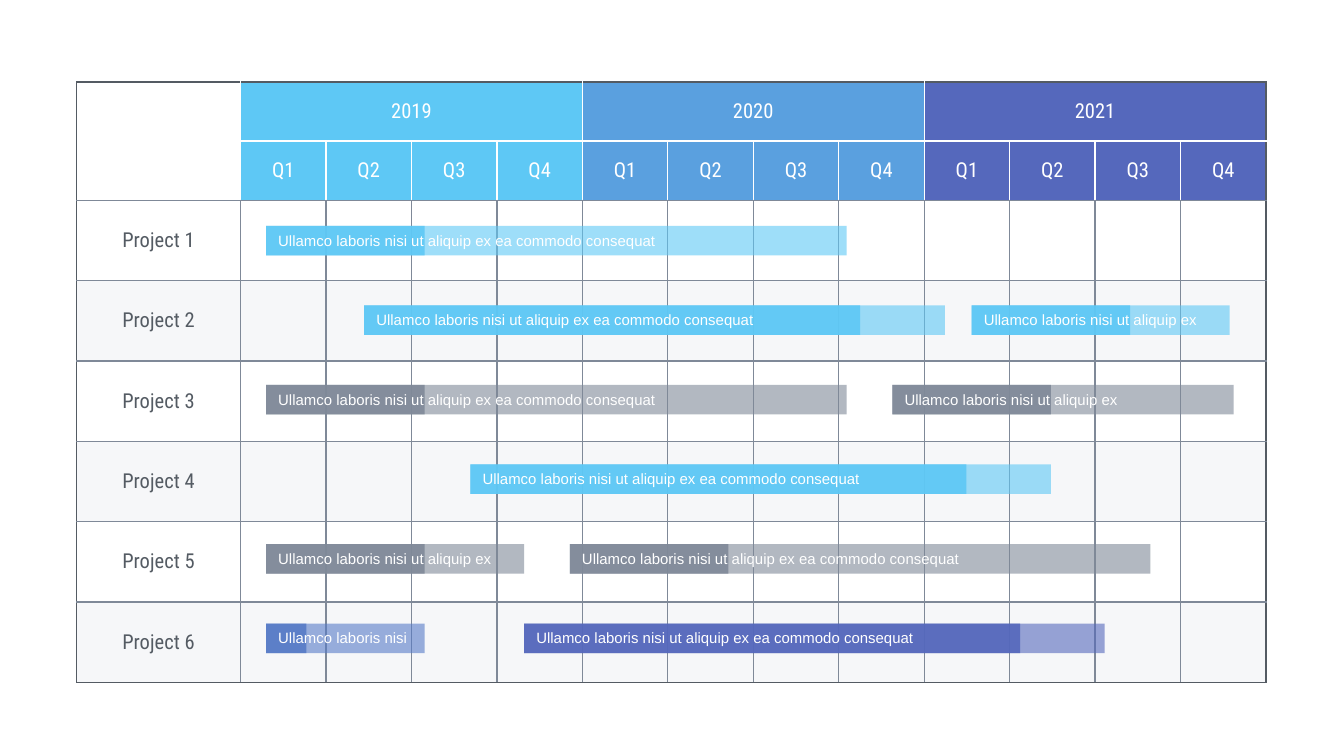
from dataclasses import dataclass

from lxml import etree
from pptx import Presentation
from pptx.dml.color import RGBColor
from pptx.enum.shapes import MSO_SHAPE
from pptx.enum.text import MSO_ANCHOR, PP_ALIGN
from pptx.oxml.ns import qn
from pptx.util import Inches, Pt

RECT = MSO_SHAPE.RECTANGLE
MIDDLE = MSO_ANCHOR.MIDDLE
CENTER = PP_ALIGN.CENTER


@dataclass(frozen=True)
class Theme:
    white: str = "FFFFFF"
    band: str = "EEF0F4"
    sky: str = "5EC8F5"
    blue: str = "5AA0DF"
    steel: str = "567BC7"
    indigo: str = "5568BC"
    gray: str = "7F8998"
    dark: str = "545B63"
    head: str = "Roboto Condensed"
    body: str = "Arial"
    cell: float = 11
    note: float = 8
    line: float = 0.75


THEME = Theme()

# Slide in the 16:9 format
WIDE = 10
HIGH = WIDE * 9 / 16

# Grid: one label column, twelve quarters, two header rows, six projects
LEFT, TOP = 0.57, 0.61
LABEL, QUARTER = 1.22, 7.63 / 12
HEADER, ROW = 0.44, 3.59 / 6
YEARS = [("2019", THEME.sky), ("2020", THEME.blue), ("2021", THEME.indigo)]
ROWS, COLS = 8, 13

# Bars: first top, step from project to project, height
BAR_TOP, BAR_STEP, BAR_HIGH = 1.68, 2.96 / 5, 0.22

# Notes with the width of their boxes
LONG = ("Ullamco laboris nisi ut aliquip ex ea commodo consequat", 3.11)
MID = ("Ullamco laboris nisi ut aliquip ex", 1.87)
SHORT = ("Ullamco laboris nisi", 1.13)

# Project, left, full width, done width, colour, note
TASKS = [
    (1, 1.98, 4.32, 1.18, THEME.sky, LONG),
    (6, 1.98, 1.18, 0.3, THEME.steel, SHORT),
    (2, 2.71, 4.32, 3.69, THEME.sky, LONG),
    (3, 1.98, 4.32, 1.18, THEME.gray, LONG),
    (4, 3.5, 4.32, 3.69, THEME.sky, LONG),
    (3, 6.64, 2.54, 1.18, THEME.gray, MID),
    (5, 1.98, 1.92, 1.18, THEME.gray, MID),
    (2, 7.23, 1.92, 1.18, THEME.sky, MID),
    (6, 3.9, 4.32, 3.69, THEME.indigo, LONG),
    (5, 4.24, 4.32, 1.18, THEME.gray, LONG),
]


def paint(item, props, color, alpha=100):
    """Fill a cell or shape, partly transparent if alpha is below 100."""
    item.fill.solid()
    item.fill.fore_color.rgb = RGBColor.from_string(color)
    if alpha < 100:
        tone = props.find(qn("a:solidFill"))[0]
        etree.SubElement(tone, qn("a:alpha"), val=str(alpha * 1000))


def style(frame, font, size, color):
    """Set insets and format the runs of a text frame."""
    frame.margin_left = frame.margin_right = Inches(0.04)
    frame.margin_top = frame.margin_bottom = Inches(0.02)
    frame.word_wrap = True
    for run in frame.paragraphs[0].runs:
        run.font.name = font
        run.font.size = Pt(size)
        run.font.color.rgb = RGBColor.from_string(color)


def edges(row, col):
    """Border colours of a cell: left, right, top, bottom."""
    inner = THEME.white if row < 2 else THEME.gray
    last = COLS - 4 if row == 0 else COLS - 1  # the last year spans four
    left = THEME.dark if col == 0 else inner
    right = THEME.dark if col >= last else inner
    top = THEME.dark if row == 0 else inner
    base = THEME.white if row == 0 and col else THEME.gray
    if row == ROWS - 1:
        base = THEME.dark
    return left, right, top, base


def border(cell, colors):
    props = cell._tc.get_or_add_tcPr()
    for side, color in zip("LRTB", colors):
        line = etree.SubElement(props, qn(f"a:ln{side}"), w=str(Pt(THEME.line)))
        fill = etree.SubElement(line, qn("a:solidFill"))
        etree.SubElement(fill, qn("a:srgbClr"), val=color)


def label(cell, text, color):
    cell.text_frame.text = text
    cell.text_frame.paragraphs[0].alignment = CENTER
    cell.vertical_anchor = MIDDLE
    style(cell.text_frame, THEME.head, THEME.cell, color)


def add_grid(slide):
    frame = slide.shapes.add_table(
        ROWS, COLS, Inches(LEFT), Inches(TOP),
        Inches(LABEL + 12 * QUARTER), Inches(2 * HEADER + 6 * ROW))
    table = frame.table
    table.horz_banding = table.first_row = False
    for i, col in enumerate(table.columns):
        col.width = Inches(QUARTER if i else LABEL)
    for i, row in enumerate(table.rows):
        row.height = Inches(ROW if i > 1 else HEADER)

    # Borders and fills
    for r in range(ROWS):
        for c in range(COLS):
            cell = table.cell(r, c)
            border(cell, edges(r, c))
            props = cell._tc.tcPr
            if r < 2 and c == 0:
                cell.fill.background()
            elif r < 2:
                paint(cell, props, YEARS[(c - 1) // 4][1])
            elif r % 2:
                paint(cell, props, THEME.band, 50)
            else:
                paint(cell, props, THEME.white)

    # Years, quarters and project names
    table.cell(0, 0).merge(table.cell(1, 0))
    for i, (year, _) in enumerate(YEARS):
        first = 1 + 4 * i
        table.cell(0, first).merge(table.cell(0, first + 3))
        label(table.cell(0, first), year, THEME.white)
        for q in range(4):
            label(table.cell(1, first + q), f"Q{q + 1}", THEME.white)
    for i in range(1, 7):
        label(table.cell(i + 1, 0), f"Project {i}", THEME.dark)


def add_bar(group, left, top, width, color, alpha):
    bar = group.shapes.add_shape(
        RECT, Inches(left), Inches(top), Inches(width), Inches(BAR_HIGH))
    bar.shadow.inherit = False
    bar.line.fill.background()
    paint(bar, bar._element.spPr, color, alpha)


def add_task(slide, project, left, full, done, color, note):
    """A pale bar for the whole task, a strong one for the done part, a note."""
    group = slide.shapes.add_group_shape()
    top = BAR_TOP + BAR_STEP * (project - 1)
    add_bar(group, left, top, full, color, 60)
    add_bar(group, left, top, done, color, 90)
    text, width = note
    box = group.shapes.add_textbox(
        Inches(left + 0.05), Inches(top + 0.02), Inches(width), Inches(0.18))
    box.text_frame.text = text
    style(box.text_frame, THEME.body, THEME.note, THEME.white)


def main():
    deck = Presentation()
    deck.slide_width, deck.slide_height = Inches(WIDE), Inches(HIGH)
    slide = deck.slides.add_slide(deck.slide_layouts[6])
    add_grid(slide)
    for task in TASKS:
        add_task(slide, *task)
    deck.save("out.pptx")


if __name__ == "__main__":
    main()
